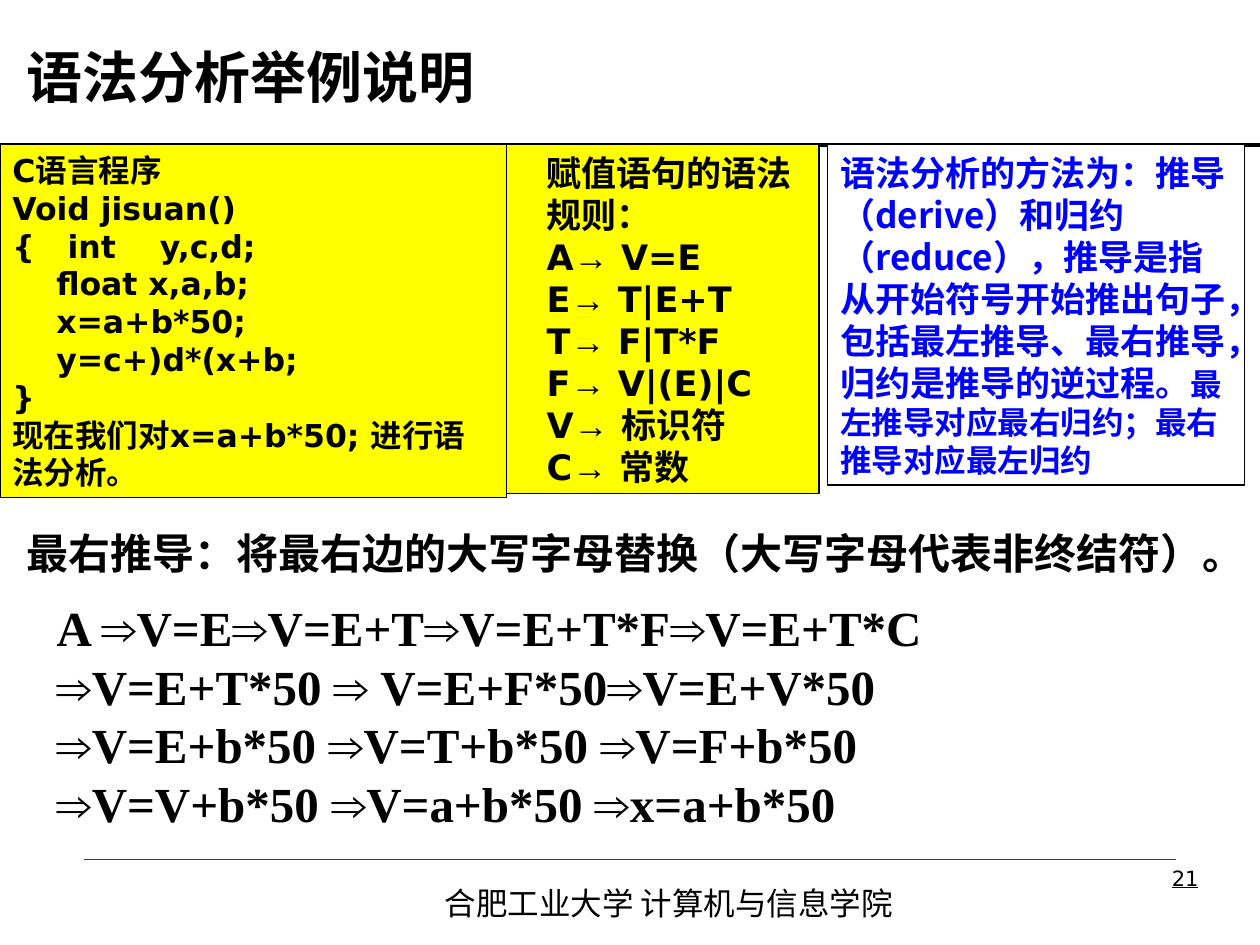
"""Build a slide that explains syntax analysis with a rightmost derivation."""
from dataclasses import dataclass
from typing import Optional

from lxml import etree
from pptx import Presentation
from pptx.dml.color import RGBColor
from pptx.enum.shapes import MSO_CONNECTOR, MSO_SHAPE
from pptx.enum.text import MSO_ANCHOR, PP_ALIGN
from pptx.oxml.ns import qn
from pptx.util import Inches, Pt

STRAIGHT = MSO_CONNECTOR.STRAIGHT
RECTANGLE = MSO_SHAPE.RECTANGLE
TOP, BOTTOM = MSO_ANCHOR.TOP, MSO_ANCHOR.BOTTOM
LEFT, RIGHT = PP_ALIGN.LEFT, PP_ALIGN.RIGHT

SANS, CHINESE = "DejaVu Sans", "Noto Sans CJK SC"
SERIF, SYMBOL = "Times New Roman", "Arial"
ARROWS = "→⇒"
COLORS = {
    "black": "000000",
    "white": "FFFFFF",
    "yellow": "FFFF00",
    "blue": "0000FF",
    "red": "CC0000",
}


@dataclass
class Piece:
    """A stretch of text in one font and size."""
    text: str
    font: str
    size: float


@dataclass
class Block:
    """A text box, or a bordered panel when it has a fill."""
    left: float
    top: float
    width: float
    height: float
    paragraphs: list[list[Piece]]
    fill: Optional[str] = None
    color: str = "black"
    bold: bool = True
    underline: bool = False
    indent: float = 0
    anchor: MSO_ANCHOR = TOP
    align: PP_ALIGN = LEFT
    wrap: bool = True


@dataclass
class Rule:
    """A horizontal line across the slide."""
    left: float
    right: float
    top: float
    color: str
    weight: float


def rgb(name: str) -> RGBColor:
    """Return a named colour."""
    return RGBColor.from_string(COLORS[name])


def split_lines(text: str, font: str, size: float) -> list[list[Piece]]:
    """Turn lines into paragraphs whose arrows use the symbol font."""
    paragraphs = []
    for line in text.split("\n"):
        pieces: list[Piece] = []
        for character in line:
            face = SYMBOL if character in ARROWS else font
            if pieces and pieces[-1].font == face:
                pieces[-1].text += character
            else:
                pieces.append(Piece(character, face, size))
        paragraphs.append(pieces)
    return paragraphs


def add_piece(paragraph, piece: Piece, block: Block) -> None:
    """Add one formatted run to a paragraph."""
    run = paragraph.add_run()
    run.text = piece.text
    font = run.font
    font.name = piece.font
    font.size = Pt(piece.size)
    font.bold = block.bold
    font.underline = block.underline
    font.color.rgb = rgb(block.color)
    east_asian = SYMBOL if piece.font == SYMBOL else CHINESE
    latin = run._r.get_or_add_rPr().find(qn("a:latin"))
    element = etree.Element(qn("a:ea"), typeface=east_asian)
    latin.addnext(element)


def add_block(slide, block: Block) -> None:
    """Draw a block and its paragraphs."""
    bounds = [Inches(value) for value in (block.left, block.top, block.width, block.height)]
    if block.fill:
        shape = slide.shapes.add_shape(RECTANGLE, *bounds)
        shape.shadow.inherit = False
        shape.fill.solid()
        shape.fill.fore_color.rgb = rgb(block.fill)
        shape.line.color.rgb = rgb("black")
        shape.line.width = Pt(0.75)
    else:
        shape = slide.shapes.add_textbox(*bounds)
    frame = shape.text_frame
    frame.word_wrap = block.wrap
    frame.vertical_anchor = block.anchor
    for index, pieces in enumerate(block.paragraphs):
        paragraph = frame.add_paragraph() if index else frame.paragraphs[0]
        paragraph.alignment = block.align
        paragraph._p.get_or_add_pPr().set("marL", str(Inches(block.indent)))
        for piece in pieces:
            add_piece(paragraph, piece, block)


def add_rule(slide, rule: Rule) -> None:
    """Draw a horizontal line without a shadow."""
    top = Inches(rule.top)
    connector = slide.shapes.add_connector(
        STRAIGHT, Inches(rule.left), top, Inches(rule.right), top)
    connector.line.color.rgb = rgb(rule.color)
    connector.line.width = Pt(rule.weight)
    etree.SubElement(connector._element.spPr, qn("a:effectLst"))


PROGRAM = """C语言程序
Void jisuan()
{   int    y,c,d;
    float x,a,b;
    x=a+b*50;
    y=c+)d*(x+b;
}
现在我们对x=a+b*50; 进行语法分析。"""

GRAMMAR = """赋值语句的语法规则：
A→ V=E
E→ T|E+T
T→ F|T*F
F→ V|(E)|C
V→ 标识符
C→ 常数"""

DERIVATION = """A ⇒V=E⇒V=E+T⇒V=E+T*F⇒V=E+T*C
⇒V=E+T*50 ⇒ V=E+F*50⇒V=E+V*50
⇒V=E+b*50 ⇒V=T+b*50 ⇒V=F+b*50
⇒V=V+b*50 ⇒V=a+b*50 ⇒x=a+b*50"""

METHOD = [[
    Piece("语法分析的方法为：推导（derive）和归约（reduce），推导是指从开始符号开始推出句子，"
          "包括最左推导、最右推导，归约是推导的逆过程", CHINESE, 20),
    Piece("。", SANS, 20),
    Piece("最左推导对应最右归约；最右推导对应最左归约", SANS, 18),
]]

PANEL_TOP = 1.15
ITEMS = [
    Rule(0.67, 9.33, 6.82, "red", 0.25),
    Block(3.43, 6.97, 4.8, 0.4,
          split_lines("合肥工业大学 计算机与信息学院", CHINESE, 18), bold=False),
    Block(0.11, 0.09, 8.75, 0.83,
          split_lines("语法分析举例说明", CHINESE, 32), anchor=BOTTOM),
    Rule(0, 10, PANEL_TOP, "black", 2.25),
    Block(3.74, PANEL_TOP, 2.76, 2.77, split_lines(GRAMMAR, SANS, 20),
          fill="yellow", indent=0.5),
    Block(0, PANEL_TOP, 4.02, 2.8, split_lines(PROGRAM, SANS, 18), fill="yellow"),
    Block(6.57, PANEL_TOP, 3.31, 2.7, METHOD, fill="white", color="blue"),
    Block(0.11, 4.14, 9.86, 0.5,
          split_lines("最右推导：将最右边的大写字母替换（大写字母代表非终结符）。", SANS, 24),
          wrap=False),
    Block(0.35, 4.69, 7.95, 2.05, split_lines(DERIVATION, SERIF, 28)),
    Block(7.44, 6.82, 2.17, 0.52, split_lines("21", SANS, 12),
          bold=False, underline=True, align=RIGHT),
]


def main() -> None:
    """Build and save the presentation."""
    presentation = Presentation()
    presentation.slide_width = Inches(10)
    presentation.slide_height = Inches(7.5)
    slide = presentation.slides.add_slide(presentation.slide_layouts[6])
    for item in ITEMS:
        if isinstance(item, Rule):
            add_rule(slide, item)
        else:
            add_block(slide, item)
    presentation.save("out.pptx")


if __name__ == "__main__":
    main()
